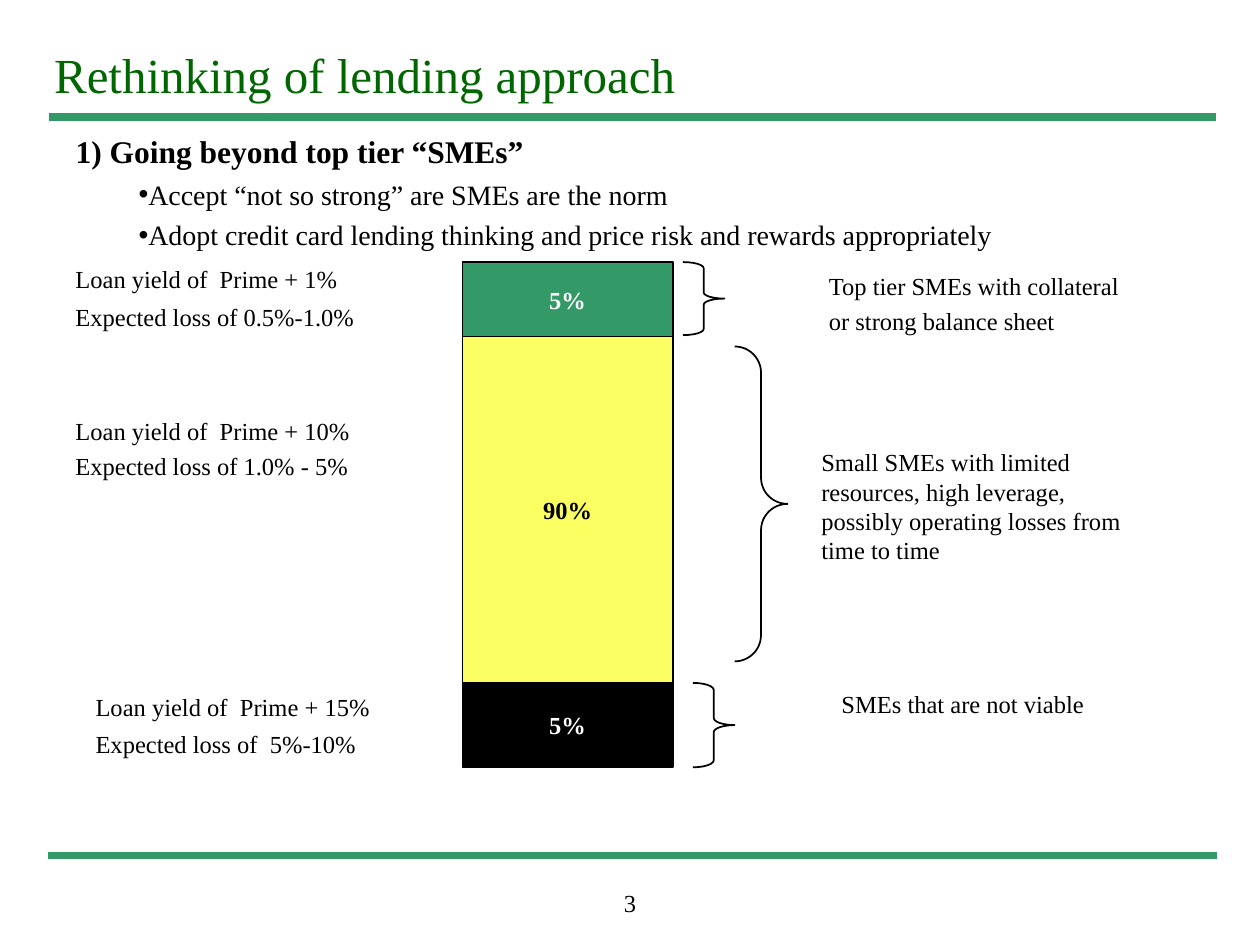
from lxml import etree
from pptx import Presentation
from pptx.dml.color import RGBColor
from pptx.enum.shapes import MSO_CONNECTOR, MSO_SHAPE
from pptx.enum.text import MSO_ANCHOR, MSO_AUTO_SIZE, PP_ALIGN
from pptx.oxml.ns import qn
from pptx.util import Inches, Pt

GREEN = RGBColor(0x33, 0x99, 0x66)
DARK = RGBColor(0x00, 0x66, 0x00)
YELLOW = RGBColor(0xFA, 0xFE, 0x60)
BLACK = RGBColor(0, 0, 0)
WHITE = RGBColor(255, 255, 255)
LEFT, CENTER = PP_ALIGN.LEFT, PP_ALIGN.CENTER
TOP, MIDDLE = MSO_ANCHOR.TOP, MSO_ANCHOR.MIDDLE
RECT, BRACE = MSO_SHAPE.RECTANGLE, MSO_SHAPE.RIGHT_BRACE
STRAIGHT = MSO_CONNECTOR.STRAIGHT
FIXED = MSO_AUTO_SIZE.NONE


class Page:
    face = "Times New Roman"
    size = 14

    def __init__(self, deck):
        self.slide = deck.slides.add_slide(deck.slide_layouts[1])
        self.shapes = self.slide.shapes

    def style(self, para, size=None, color=BLACK, bold=False, align=LEFT, gap=0):
        para.alignment = align
        para.space_before = Pt(gap)
        font = para.font
        font.name = self.face
        font.size = Pt(size or self.size)
        font.bold = bold
        font.color.rgb = color

    def place(self, shape, left, top, width, height):
        shape.left, shape.top = Inches(left), Inches(top)
        shape.width, shape.height = Inches(width), Inches(height)

    def rule(self, left, right, y):
        line = self.shapes.add_connector(
            STRAIGHT, Inches(left), Inches(y), Inches(right), Inches(y))
        line.line.color.rgb = GREEN
        line.line.width = Pt(4.5)
        etree.SubElement(line._element.spPr, qn("a:effectLst"))

    def title(self, text, *box):
        shape = self.shapes.title
        self.place(shape, *box)
        frame = shape.text_frame
        frame.auto_size = FIXED
        frame.vertical_anchor = MIDDLE
        frame.text = text
        self.style(frame.paragraphs[0], 28, DARK)

    def bullet(self, para):
        props = para._p.get_or_add_pPr()
        props.set("marL", str(Inches(0.32)))
        props.set("indent", str(Inches(0.18)))
        color = etree.SubElement(props, qn("a:buClr"))
        etree.SubElement(color, qn("a:srgbClr"), val=str(BLACK))
        etree.SubElement(props, qn("a:buChar"), char="•")

    def body(self, head, items, *box):
        shape = self.slide.placeholders[1]
        self.place(shape, *box)
        frame = shape.text_frame
        frame.auto_size = FIXED
        frame.text = head
        first = frame.paragraphs[0]
        props = first._p.get_or_add_pPr()
        props.set("marL", "0")
        props.set("indent", "0")
        etree.SubElement(props, qn("a:buNone"))
        self.style(first, 18, bold=True)
        for item in items:
            para = frame.add_paragraph()
            para.text = item
            para.level = 1
            self.bullet(para)
            self.style(para, 16, gap=4)

    def form(self, kind, *box):
        shape = self.shapes.add_shape(kind, *map(Inches, box))
        shape.shadow.inherit = False
        shape.line.color.rgb = BLACK
        shape.line.width = Pt(1)
        return shape

    def block(self, text, fill, color, *box):
        shape = self.form(RECT, *box)
        shape.fill.solid()
        shape.fill.fore_color.rgb = fill
        frame = shape.text_frame
        frame.vertical_anchor = MIDDLE
        frame.text = text
        self.style(frame.paragraphs[0], color=color, bold=True, align=CENTER)

    def brace(self, left, top, width, height):
        shape = self.form(BRACE, left, top, width, height)
        shape.fill.background()
        shape.adjustments[0] = height / 12 / width

    def note(self, lines, box, gap=0, align=LEFT):
        shape = self.shapes.add_textbox(*map(Inches, box))
        frame = shape.text_frame
        frame.word_wrap = True
        frame.vertical_anchor = TOP
        frame.text = "\n".join(lines)
        for i, para in enumerate(frame.paragraphs):
            self.style(para, gap=gap if i else 0, align=align)


def main():
    deck = Presentation()
    deck.slide_width, deck.slide_height = Inches(10), Inches(7.5)
    page = Page(deck)
    page.rule(0.38, 9.66, 6.79)
    page.rule(0.39, 9.65, 0.93)
    page.title("Rethinking of lending approach", 0.33, 0, 8.5, 1.17)
    page.body("1) Going beyond top tier “SMEs”", [
        "Accept “not so strong” are SMEs are the norm",
        "Adopt credit card lending thinking and price risk and rewards appropriately",
    ], 0.5, 1, 8, 1.05)

    top = 2.08
    for text, fill, color, height in [
        ("5%", GREEN, WHITE, 0.59),
        ("90%", YELLOW, BLACK, 2.75),
        ("5%", BLACK, WHITE, 0.67),
    ]:
        page.block(text, fill, color, 3.67, top, 1.67, height)
        top += height

    page.brace(5.42, 2.08, 0.33, 0.58)
    page.brace(5.83, 2.75, 0.42, 2.5)
    page.brace(5.5, 5.42, 0.33, 0.67)

    for lines, box, gap in [
        (["Small SMEs with limited", "resources, high leverage,",
          "possibly operating losses from", "time to time"],
         (6.42, 3.5, 2.62, 1.04), 0),
        (["SMEs that are not viable"], (6.58, 5.42, 2.13, 0.34), 0),
        (["Top tier SMEs with collateral", "or strong balance sheet"],
         (6.48, 2.1, 2.52, 0.62), 3.5),
        (["Loan yield of  Prime + 1%", "Expected loss of 0.5%-1.0%"],
         (0.5, 2.05, 2.48, 0.64), 4.5),
        (["Loan yield of  Prime + 10%", "Expected loss of 1.0% - 5%"],
         (0.5, 3.25, 2.41, 0.62), 3.5),
        (["Loan yield of  Prime + 15%", "Expected loss of  5%-10%"],
         (0.66, 5.44, 2.38, 0.64), 4.5),
    ]:
        page.note(lines, box, gap)
    page.note(["3"], (3.96, 7, 2.08, 0.5), align=CENTER)
    deck.save("out.pptx")


if __name__ == "__main__":
    main()
